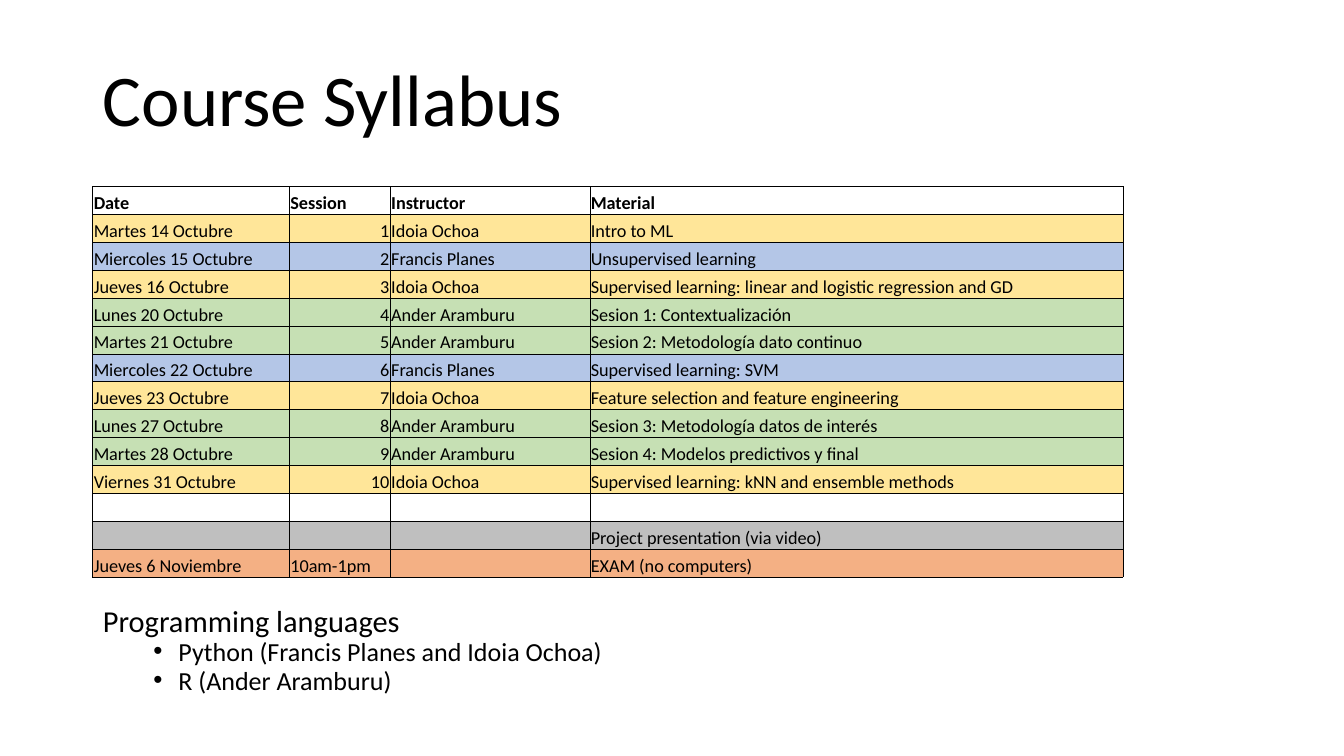
"""Build the course syllabus slide."""
import dataclasses

import pptx
import pptx.dml.color
import pptx.enum.text
import pptx.oxml
import pptx.oxml.ns
import pptx.util
from lxml import etree

Inches = pptx.util.Inches
Pt = pptx.util.Pt
ALIGN = pptx.enum.text.PP_ALIGN
ANCHOR = pptx.enum.text.MSO_ANCHOR
qn = pptx.oxml.ns.qn


@dataclasses.dataclass(frozen=True)
class Theme:
    """Fonts, type sizes in points and colours."""
    font: str = "Calibri"
    title: float = 52
    cell: float = 13
    lead: float = 21.7
    item: float = 18.6
    rule: float = 0.5
    ink: str = "000000"
    gold: str = "FFE699"
    blue: str = "B4C6E7"
    green: str = "C6E0B4"
    grey: str = "BFBFBF"
    coral: str = "F4B084"


THEME = Theme()
HEAD = ("Date", "Session", "Instructor", "Material")
WIDTHS = (1.95, 1, 1.98, 5.29)
HUES = {
    "Idoia Ochoa": THEME.gold,
    "Francis Planes": THEME.blue,
    "Ander Aramburu": THEME.green,
}
CLASSES = (
    ("Martes 14 Octubre", "Idoia Ochoa", "Intro to ML"),
    ("Miercoles 15 Octubre", "Francis Planes", "Unsupervised learning"),
    ("Jueves 16 Octubre", "Idoia Ochoa",
     "Supervised learning: linear and logistic regression and GD"),
    ("Lunes 20 Octubre", "Ander Aramburu", "Sesion 1: Contextualización"),
    ("Martes 21 Octubre", "Ander Aramburu",
     "Sesion 2: Metodología dato continuo"),
    ("Miercoles 22 Octubre", "Francis Planes", "Supervised learning: SVM"),
    ("Jueves 23 Octubre", "Idoia Ochoa",
     "Feature selection and feature engineering"),
    ("Lunes 27 Octubre", "Ander Aramburu",
     "Sesion 3: Metodología datos de interés"),
    ("Martes 28 Octubre", "Ander Aramburu",
     "Sesion 4: Modelos predictivos y final"),
    ("Viernes 31 Octubre", "Idoia Ochoa",
     "Supervised learning: kNN and ensemble methods"),
)
CLOSING = (
    (("", "", "", ""), None),
    (("", "", "", "Project presentation (via video)"), THEME.grey),
    (("Jueves 6 Noviembre", "10am-1pm", "", "EXAM (no computers)"),
     THEME.coral),
)
TOPICS = (
    "Programming languages",
    "Python (Francis Planes and Idoia Ochoa)",
    "R (Ander Aramburu)",
)


def paint(para, size, bold=False):
    """Format every run of a paragraph."""
    for run in para.runs:
        run.font.name = THEME.font
        run.font.size = Pt(size)
        run.font.bold = bold
        run.font.color.rgb = pptx.dml.color.RGBColor.from_string(THEME.ink)


def place(shape, left, top, width, height):
    """Move and size a placeholder and keep its text size fixed."""
    shape.left, shape.top = Inches(left), Inches(top)
    shape.width, shape.height = Inches(width), Inches(height)
    shape.text_frame.auto_size = pptx.enum.text.MSO_AUTO_SIZE.NONE


def add_title(shape, text):
    """Fill the title placeholder."""
    place(shape, 0.92, 0.2, 11.5, 1.65)
    frame = shape.text_frame
    frame.text = text
    frame.vertical_anchor = ANCHOR.MIDDLE
    para = frame.paragraphs[0]
    para.alignment = ALIGN.LEFT
    para.line_spacing = 0.9
    paint(para, THEME.title)


def set_bullet(para, shown):
    """Set the indent and the bullet of a paragraph."""
    props = para._p.get_or_add_pPr()
    props.set("marL", str(Inches(0.75 if shown else 0)))
    props.set("indent", str(Inches(-0.25 if shown else 0)))
    if shown:
        etree.SubElement(props, qn("a:buFont"), typeface="Arial")
        etree.SubElement(props, qn("a:buChar"), char="•")
    else:
        etree.SubElement(props, qn("a:buNone"))


def add_list(shape, lines):
    """Fill the body placeholder with a lead line and its bullets."""
    place(shape, 0.92, 6.02, 11.5, 0.95)
    frame = shape.text_frame
    frame.text = "\n".join(lines)
    for index, para in enumerate(frame.paragraphs):
        nested = index > 0
        para.level = int(nested)
        set_bullet(para, nested)
        para.line_spacing = 0.7
        para.space_before = Pt(5 if nested else 0)
        paint(para, THEME.item if nested else THEME.lead)


def add_rules(cell):
    """Draw the four borders of a cell."""
    props = cell._tc.get_or_add_tcPr()
    for side in ("L", "R", "T", "B"):
        line = etree.SubElement(props, qn(f"a:ln{side}"),
                                w=str(Pt(THEME.rule)))
        fill = etree.SubElement(line, qn("a:solidFill"))
        etree.SubElement(fill, qn("a:srgbClr"), val=THEME.ink)


def fill_cell(cell, text, hue, bold):
    """Write and format one table cell."""
    cell.text = text
    cell.vertical_anchor = ANCHOR.BOTTOM
    cell.margin_left = cell.margin_right = cell.margin_top = Inches(0.01)
    cell.margin_bottom = Inches(0)
    para = cell.text_frame.paragraphs[0]
    para.alignment = ALIGN.RIGHT if text.isdigit() else ALIGN.LEFT
    paint(para, THEME.cell, bold)
    if not text:
        etree.SubElement(para._p, qn("a:endParaRPr"),
                         sz=str(int(THEME.cell * 100)))
    add_rules(cell)
    if hue:
        cell.fill.solid()
        cell.fill.fore_color.rgb = pptx.dml.color.RGBColor.from_string(hue)
    else:
        cell.fill.background()


def add_grid(slide, rows):
    """Add the syllabus table from pairs of texts and row colour."""
    high = 3.88 / len(rows)
    frame = slide.shapes.add_table(
        len(rows), len(WIDTHS), Inches(0.92), Inches(1.85),
        Inches(sum(WIDTHS)), Inches(3.88))
    table = frame.table
    table.first_row = table.horz_banding = False
    for column, width in zip(table.columns, WIDTHS):
        column.width = Inches(width)
    for index, (row, (texts, hue)) in enumerate(zip(table.rows, rows)):
        row.height = Inches(high)
        for cell, text in zip(row.cells, texts):
            fill_cell(cell, text, hue, index == 0)


def main():
    """Build and save the slide."""
    deck = pptx.Presentation()
    deck.slide_width, deck.slide_height = Inches(13.33), Inches(7.5)
    slide = deck.slides.add_slide(deck.slide_layouts[1])
    add_title(slide.shapes.title, "Course Syllabus")
    rows = [(HEAD, None)]
    for number, (date, tutor, topic) in enumerate(CLASSES, 1):
        rows.append(((date, str(number), tutor, topic), HUES[tutor]))
    rows.extend(CLOSING)
    add_grid(slide, rows)
    add_list(slide.placeholders[1], TOPICS)
    deck.save("out.pptx")


if __name__ == "__main__":
    main()
